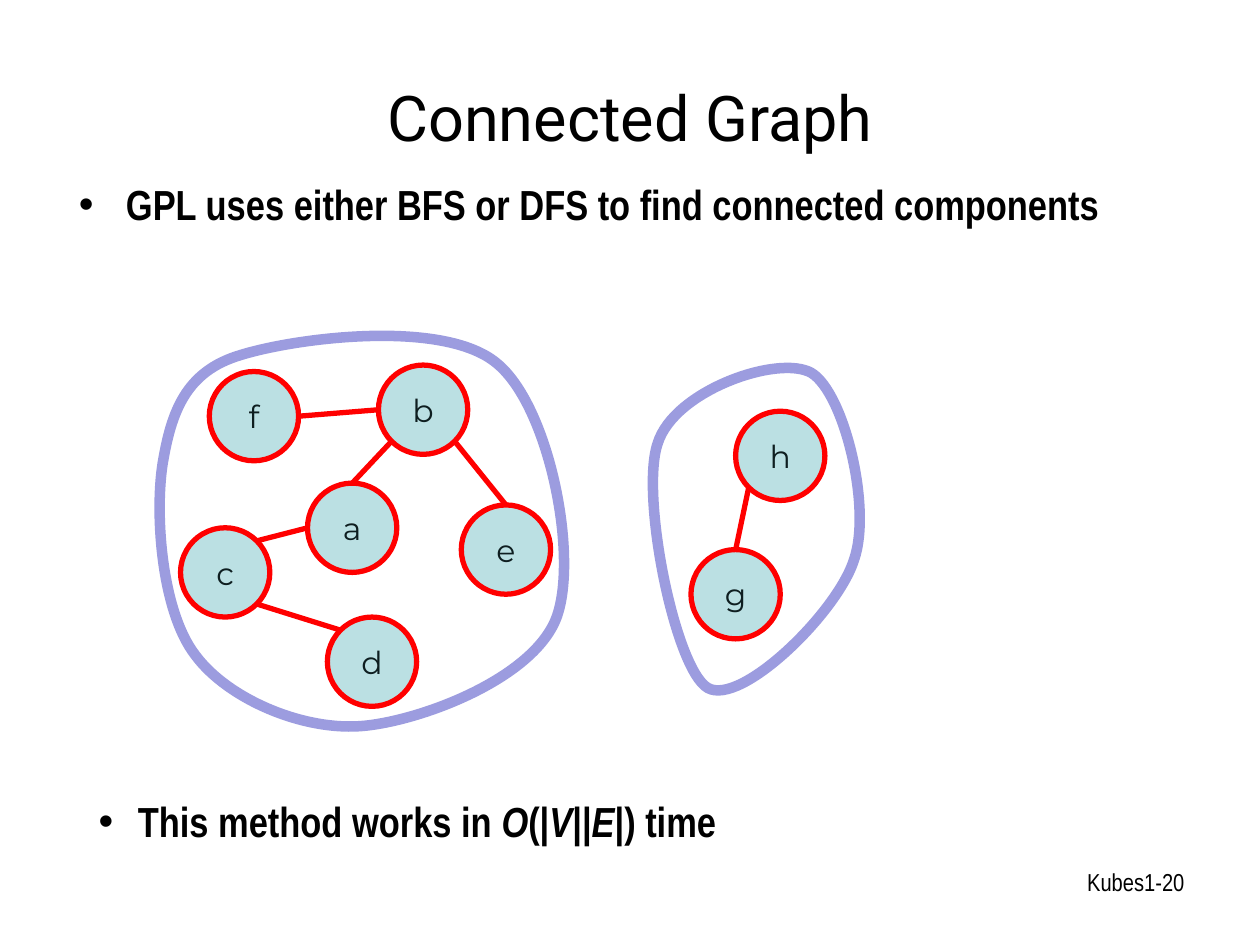
import math
from dataclasses import dataclass

from lxml import etree
from pptx import Presentation
from pptx.dml.color import RGBColor
from pptx.enum import shapes, text
from pptx.oxml import ns
from pptx.util import Cm, Pt

COLORS = {
    "black": "000000",
    "label": "0E1E20",
    "node": "BBE0E3",
    "edge": "FF0000",
    "outline": "9C9CDF",
}
DIAMETER = 1.8
TOP, TOP_LEFT, LEFT, BOTTOM_LEFT, BOTTOM, BOTTOM_RIGHT, RIGHT, TOP_RIGHT = range(8)


@dataclass
class Node:
    label: str
    left: float
    top: float

    def rim(self, site: int) -> tuple[float, float]:
        angle = math.radians(90 + 45 * site)
        radius = DIAMETER / 2
        return (self.left + radius * (1 + math.cos(angle)),
                self.top + radius * (1 - math.sin(angle)))


@dataclass
class Edge:
    start: str
    start_site: int
    end: str
    end_site: int


@dataclass
class Component:
    left: float
    top: float
    width: float
    height: float
    points: list[tuple[float, float]]


@dataclass
class Caption:
    runs: list[tuple[str, bool]]
    left: float
    top: float
    width: float
    height: float
    size: int = 24
    bold: bool = True
    indent: float = 0
    space_before: float = 0
    wrap: bool = True
    align: text.PP_ALIGN = text.PP_ALIGN.LEFT


NODES = [
    Node("e", 9.3, 10.18), Node("a", 6.2, 9.74), Node("c", 3.64, 10.64),
    Node("f", 4.22, 7.49), Node("b", 7.63, 7.36), Node("d", 6.6, 12.44),
    Node("g", 13.93, 11.08), Node("h", 14.83, 8.29),
]
EDGES = [
    Edge("b", LEFT, "f", RIGHT),
    Edge("e", TOP, "b", BOTTOM_RIGHT),
    Edge("a", TOP, "b", BOTTOM_LEFT),
    Edge("c", BOTTOM_RIGHT, "d", TOP_LEFT),
    Edge("a", LEFT, "c", TOP_RIGHT),
    Edge("h", BOTTOM_LEFT, "g", TOP),
]
COMPONENTS = [
    Component(3.23, 6.78, 8.15, 7.87, [
        (4.85, 7.16), (5.97, 6.81), (8.94, 6.43), (10.01, 7.32),
        (11.07, 8.18), (11.66, 11.18), (11.23, 12.42),
        (10.8, 13.64), (8.59, 14.5), (7.37, 14.63),
        (6.15, 14.76), (4.6, 14.1), (3.94, 13.21),
        (3.25, 12.32), (3.12, 10.36), (3.28, 9.35),
        (3.45, 8.33), (3.73, 7.49), (4.85, 7.16),
    ]),
    Component(13.16, 7.42, 4.19, 6.48, [
        (13.26, 8.94), (13.59, 7.87), (15.7, 7.14), (16.36, 7.52),
        (17.02, 7.92), (17.58, 10.24), (17.22, 11.28),
        (16.89, 12.34), (14.94, 14.25), (14.27, 13.87),
        (13.61, 13.49), (12.9, 9.98), (13.26, 8.94),
    ]),
]
CAPTIONS = [
    Caption([("GPL uses either BFS or DFS to find connected components", False)],
            1.34, 3.48, 22.86, 1.7, indent=0.95, space_before=4.8),
    Caption([("This method works in ", False), ("O", True), ("(|", False), ("V", True),
             ("||", False), ("E", True), ("|) time", False)],
            1.74, 15.92, 13.08, 1.27, indent=0.79, wrap=False),
    Caption([("Kubes1-20", False)], 18.21, 17.35, 5.92, 1.32,
            size=14, bold=False, align=text.PP_ALIGN.RIGHT),
]


def color(name: str) -> RGBColor:
    return RGBColor.from_string(COLORS[name])


def style_font(font, family: str, size: int, color_name: str) -> None:
    font.name = family
    font.size = Pt(size)
    font.color.rgb = color(color_name)


def style_line(line, color_name: str, width: int) -> None:
    line.color.rgb = color(color_name)
    line.width = Pt(width)


def draw_title(slide, wording: str) -> None:
    title = slide.shapes.title
    title.left, title.top, title.width, title.height = Cm(1.27), Cm(0.76), Cm(22.86), Cm(3.18)
    title.text_frame.text = wording
    title.text_frame.vertical_anchor = text.MSO_ANCHOR.MIDDLE
    paragraph = title.text_frame.paragraphs[0]
    paragraph.alignment = text.PP_ALIGN.CENTER
    style_font(paragraph.runs[0].font, "Roboto", 36, "black")


def draw_node(slide, node: Node) -> None:
    circle = slide.shapes.add_shape(shapes.MSO_SHAPE.OVAL, Cm(node.left), Cm(node.top),
                                    Cm(DIAMETER), Cm(DIAMETER))
    circle.shadow.inherit = False
    circle.fill.solid()
    circle.fill.fore_color.rgb = color("node")
    style_line(circle.line, "edge", 3)
    frame = circle.text_frame
    frame.text = node.label
    frame.vertical_anchor = text.MSO_ANCHOR.MIDDLE
    frame.paragraphs[0].alignment = text.PP_ALIGN.CENTER
    style_font(frame.paragraphs[0].runs[0].font, "Montserrat", 18, "label")


def draw_edge(slide, edge: Edge, nodes: dict[str, Node]) -> None:
    ends = nodes[edge.start].rim(edge.start_site) + nodes[edge.end].rim(edge.end_site)
    link = slide.shapes.add_connector(shapes.MSO_CONNECTOR.STRAIGHT, *map(Cm, ends))
    style_line(link.line, "edge", 3)
    etree.SubElement(link._element.spPr, ns.qn("a:effectLst"))


def draw_component(slide, component: Component) -> None:
    left, top = component.left, component.top
    builder = slide.shapes.build_freeform(Cm(left), Cm(top))
    builder.add_line_segments([(Cm(left + component.width), Cm(top + component.height))])
    boundary = builder.convert_to_shape()
    boundary.shadow.inherit = False
    boundary.fill.background()
    style_line(boundary.line, "outline", 6)

    contour = boundary._element.find(".//" + ns.qn("a:path"))
    for segment in list(contour):
        contour.remove(segment)
    segments = [("a:moveTo", component.points[:1])]
    segments += [("a:cubicBezTo", component.points[first:first + 3])
                 for first in range(1, len(component.points), 3)]
    for tag, points in segments + [("a:close", [])]:
        segment = etree.SubElement(contour, ns.qn(tag))
        for x, y in points:
            etree.SubElement(segment, ns.qn("a:pt"), x=str(Cm(x - left)), y=str(Cm(y - top)))


def draw_caption(slide, caption: Caption) -> None:
    box = slide.shapes.add_textbox(Cm(caption.left), Cm(caption.top),
                                   Cm(caption.width), Cm(caption.height))
    box.text_frame.word_wrap = caption.wrap
    if not caption.wrap:
        box.text_frame.auto_size = text.MSO_AUTO_SIZE.SHAPE_TO_FIT_TEXT
    paragraph = box.text_frame.paragraphs[0]
    paragraph.alignment = caption.align
    paragraph.space_before = Pt(caption.space_before)
    if caption.indent:
        properties = paragraph._p.get_or_add_pPr()
        properties.set("marL", str(Cm(caption.indent)))
        properties.set("indent", str(-Cm(caption.indent)))
        etree.SubElement(properties, ns.qn("a:buFont"), typeface="Arial")
        etree.SubElement(properties, ns.qn("a:buChar"), char="•")
    for wording, italic in caption.runs:
        run = paragraph.add_run()
        run.text = wording
        style_font(run.font, "Arial Narrow", caption.size, "black")
        run.font.bold = caption.bold
        run.font.italic = italic


deck = Presentation()
deck.slide_width, deck.slide_height = Cm(25.4), Cm(19.05)
graph_slide = deck.slides.add_slide(deck.slide_layouts[5])
draw_title(graph_slide, "Connected Graph")
for node in NODES:
    draw_node(graph_slide, node)
for edge in EDGES:
    draw_edge(graph_slide, edge, {node.label: node for node in NODES})
for component in COMPONENTS:
    draw_component(graph_slide, component)
for caption in CAPTIONS:
    draw_caption(graph_slide, caption)
deck.save("out.pptx")
